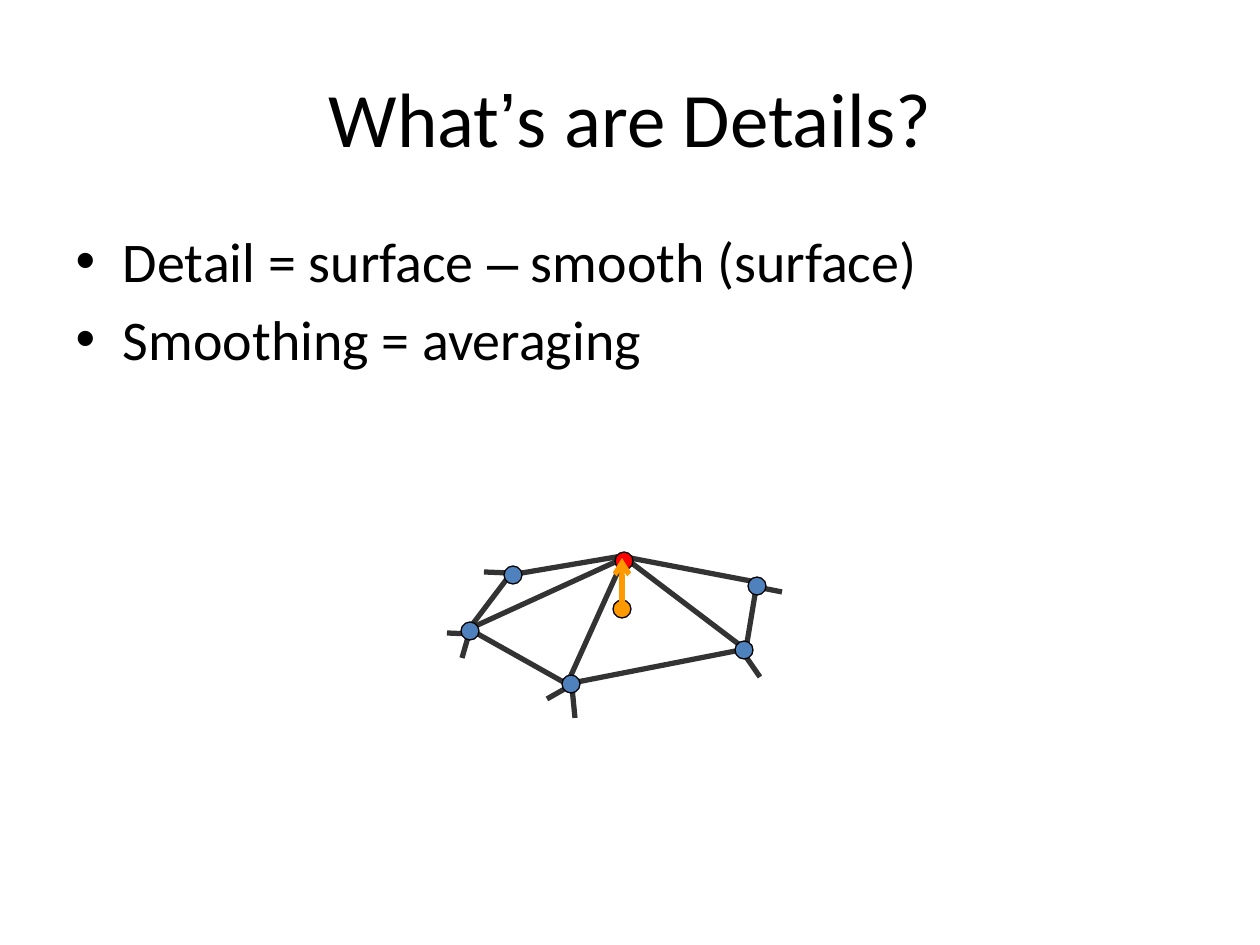
from lxml.etree import SubElement
from pptx import Presentation
from pptx.dml.color import RGBColor
from pptx.enum.shapes import MSO_CONNECTOR, MSO_SHAPE
from pptx.enum.text import MSO_ANCHOR, PP_ALIGN
from pptx.oxml.ns import qn
from pptx.util import Emu, Pt

BLACK = RGBColor(0x00, 0x00, 0x00)
GRAY = RGBColor(0x33, 0x33, 0x33)
RED = RGBColor(0xFF, 0x00, 0x00)
ORANGE = RGBColor(0xFF, 0x99, 0x00)
BLUE = RGBColor(0x4F, 0x81, 0xBD)

TITLE = [[("What", "Calibri"), ("’", "Arial"), ("s are Details?", "Calibri")]]
BULLETS = [
    [("Detail = surface ", "Calibri"), ("–", "Arial"), (" smooth (surface)", "Calibri")],
    [("Smoothing = averaging", "Calibri")],
]
TITLE_BOX = (63, 38, 1134, 157)
BODY_BOX = (63, 220, 1134, 624)

MESH_PATHS = [
    [(469, 629), (624, 558), (568, 682)],
    [(625, 558), (745, 649)],
    [(513, 571), (469, 629), (567, 684), (746, 649), (757, 583)],
]
TOP_EDGES = [((622, 556), (510, 575)), ((625, 557), (756, 582))]
STUBS = [
    ((508, 573), (484, 572)),
    ((471, 634), (447, 633)),
    ((471, 627), (462, 658)),
    ((572, 687), (575, 718)),
    ((568, 687), (547, 699)),
    ((742, 651), (760, 677)),
    ((762, 588), (782, 592)),
]
VERTICES = [
    ((624, 561), RED),
    ((622, 609), ORANGE),
    ((513, 575), BLUE),
    ((571, 684), BLUE),
    ((470, 631), BLUE),
    ((744, 650), BLUE),
    ((757, 586), BLUE),
]
DETAIL_ARROW = ((622, 609), (622, 558))
VERTEX_SIZE = 18
SCALE = 914400 / 126


def px(value):
    return Emu(round(value * SCALE))


def apply(target, formats):
    for attribute, value in formats.items():
        setattr(target, attribute, value)


def fill_placeholder(placeholder, box, paragraphs, size, formats):
    apply(placeholder, dict(zip(("left", "top", "width", "height"), map(px, box))))
    frame = placeholder.text_frame
    for index, runs in enumerate(paragraphs):
        paragraph = frame.add_paragraph() if index else frame.paragraphs[0]
        apply(paragraph, formats)
        for text, font in runs:
            run = paragraph.add_run()
            run.text = text
            apply(run.font, {"name": font, "size": Pt(size)})
            run.font.color.rgb = BLACK


def style_line(line, color, width=3):
    line.color.rgb = color
    line.width = Pt(width)


def add_edge(shapes, start, end, color=GRAY):
    edge = shapes.add_connector(MSO_CONNECTOR.STRAIGHT, *map(px, start + end))
    style_line(edge.line, color)
    SubElement(edge._element.spPr, qn("a:effectLst"))
    return edge


def add_path(shapes, points):
    builder = shapes.build_freeform(*points[0], scale=SCALE)
    builder.add_line_segments(points[1:], close=False)
    path = builder.convert_to_shape()
    path.fill.background()
    path.shadow.inherit = False
    style_line(path.line, GRAY)


def add_vertex(shapes, center, color):
    corner = [px(value - VERTEX_SIZE / 2) for value in center]
    vertex = shapes.add_shape(MSO_SHAPE.OVAL, *corner, px(VERTEX_SIZE), px(VERTEX_SIZE))
    vertex.fill.solid()
    vertex.fill.fore_color.rgb = color
    vertex.shadow.inherit = False
    style_line(vertex.line, BLACK, 0.75)


def main():
    deck = Presentation()
    apply(deck, {"slide_width": px(1260), "slide_height": px(945)})
    slide = deck.slides.add_slide(deck.slide_layouts[1])
    shapes = slide.shapes

    fill_placeholder(shapes.title, TITLE_BOX, TITLE, 44, {"alignment": PP_ALIGN.CENTER})
    shapes.title.text_frame.vertical_anchor = MSO_ANCHOR.MIDDLE
    fill_placeholder(slide.placeholders[1], BODY_BOX, BULLETS, 32, {"alignment": PP_ALIGN.LEFT})

    for points in MESH_PATHS:
        add_path(shapes, points)
    for start, end in TOP_EDGES + STUBS:
        add_edge(shapes, start, end)
    for center, color in VERTICES:
        add_vertex(shapes, center, color)
    arrow = add_edge(shapes, *DETAIL_ARROW, ORANGE)
    SubElement(arrow.line._get_or_add_ln(), qn("a:tailEnd"), type="arrow")

    deck.save("out.pptx")


if __name__ == "__main__":
    main()
